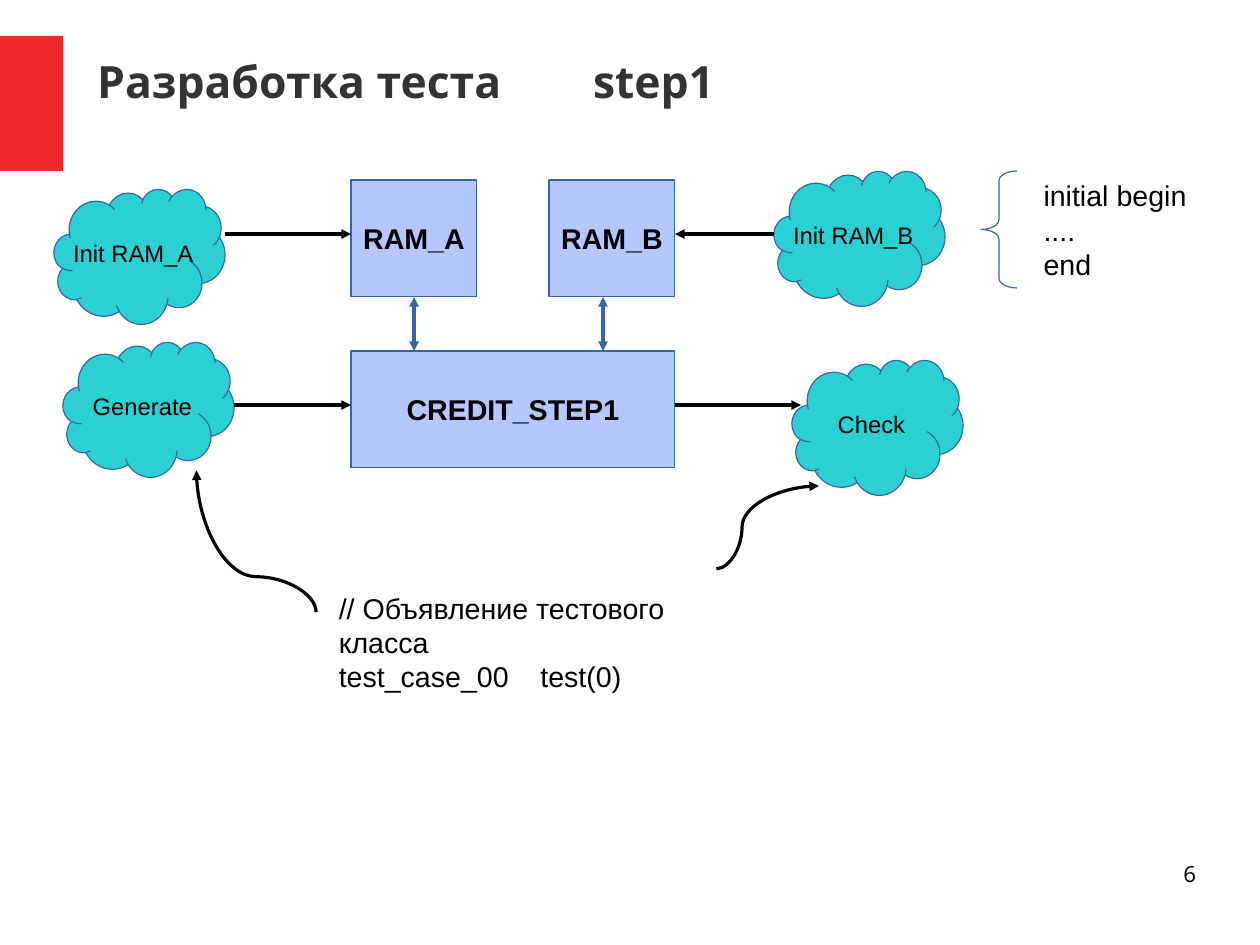
from lxml import etree
from pptx import Presentation
from pptx.dml.color import RGBColor
from pptx.enum.shapes import MSO_CONNECTOR, MSO_SHAPE
from pptx.enum.text import MSO_ANCHOR, PP_ALIGN
from pptx.oxml.ns import qn
from pptx.util import Cm, Pt

RECT, CLOUD, BRACE = MSO_SHAPE.RECTANGLE, MSO_SHAPE.CLOUD, MSO_SHAPE.LEFT_BRACE
STRAIGHT, CURVE = MSO_CONNECTOR.STRAIGHT, MSO_CONNECTOR.CURVE
LEFT, CENTER, RIGHT = PP_ALIGN.LEFT, PP_ALIGN.CENTER, PP_ALIGN.RIGHT
TOP, MIDDLE = MSO_ANCHOR.TOP, MSO_ANCHOR.MIDDLE

# All places are columns and rows of a 2 mm grid
UNIT = Cm(0.2)
COLS, ROWS = 140, 105
COLORS = {"accent": "EF2929", "box": "B4C8FF", "cloud": "2BD0D2",
          "outline": "3465A4", "title": "333333", "ink": "000000"}

TITLE = "Разработка теста\tstep1"
TITLE_FONT = {"name": "Open Sans", "size": Pt(28), "bold": True}
BOX_FONT = {"name": "Arial", "size": Pt(18), "bold": True}
CLOUD_FONT = {"name": "Arial", "size": Pt(15)}
CODE_FONT = {"name": "Arial", "size": Pt(18)}
NUMBER_FONT = {"name": "Open Sans", "size": Pt(14)}

BOX_ROW, BOX_H, BOX_W = 20, 13, 14
BOXES = [("RAM_A", 39, BOX_ROW, BOX_W), ("RAM_B", 61, BOX_ROW, BOX_W),
         ("CREDIT_STEP1", 39, 39, 36)]
CLOUD_W, CLOUD_H = 19, 15
CLOUDS = [("Init RAM_A", 6, 21), ("Init RAM_B", 86, 19),
          ("Generate", 7, 38), ("Check", 88, 40)]

INIT_ROW, TEST_ROW = 26, 45
FLOWS = [(26, TEST_ROW, 39, TEST_ROW), (25, INIT_ROW, 39, INIT_ROW),
         (86, INIT_ROW, 75, INIT_ROW), (75, TEST_ROW, 89, TEST_ROW)]
BUS_COLS = [46, 67]
# begin and end, rotation in degrees, bend as a share of the length
CURVES = [((20.6, 66.8, 36.35, 53.5), 270, 0.25),
          ((79.6, 63.2, 91, 54), 0, 0.25)]

# lines, place, alignment, inset in grid units, tab stop, font
TEXTS = [
    (["initial begin", "....", "end"], (114.7, 19.2, 18.4, 12), LEFT, None, None, CODE_FONT),
    (["// Объявление тестового класса", "test_case_00\ttest(0)"],
     (36.4, 65, 49.5, 8.4), LEFT, None, 22.4, CODE_FONT),
    (["6"], (100.3, 95.6, 32.6, 7.2), RIGHT, 0, None, NUMBER_FONT),
]


def grid(*values):
    """Turn grid units into slide lengths."""
    return [round(v * UNIT) for v in values]


def rgb(name):
    """Look up a named colour."""
    return RGBColor.from_string(COLORS[name])


def write(tf, lines, font, color="ink", align=LEFT, anchor=TOP, inset=None, tab=None, wrap=False):
    """Fill a text frame with one paragraph per line."""
    tf.word_wrap, tf.vertical_anchor = wrap, anchor
    if inset is not None:
        for side in ("left", "top", "right", "bottom"):
            setattr(tf, "margin_" + side, inset)
    for i, line in enumerate(lines):
        p = tf.add_paragraph() if i else tf.paragraphs[0]
        p.alignment = align
        if tab and "\t" in line:
            stops = etree.SubElement(p._p.get_or_add_pPr(), qn("a:tabLst"))
            etree.SubElement(stops, qn("a:tab"), pos=str(grid(tab)[0]), algn="l")
        r = p.add_run()
        r.text = line
        for key, value in font.items():
            setattr(r.font, key, value)
        r.font.color.rgb = rgb(color)


def add_shape(kind, place, fill=None, outline="outline"):
    """Add a preset shape with a hairline outline."""
    s = shapes.add_shape(kind, *grid(*place))
    s.shadow.inherit = False
    if fill:
        s.fill.solid()
        s.fill.fore_color.rgb = rgb(fill)
    else:
        s.fill.background()
    if outline:
        s.line.color.rgb = rgb(outline)
        s.line.width = Pt(0)
    else:
        s.line.fill.background()
    return s


def add_arrow(kind, ends, color="ink", both=False, turn=0, bend=None):
    """Add a hairline connector with one or two arrowheads."""
    c = shapes.add_connector(kind, *grid(*ends))
    c.line.color.rgb = rgb(color)
    c.line.width = Pt(0)
    sp_pr = c._element.spPr
    line = sp_pr.find(qn("a:ln"))
    for tag in ("a:headEnd", "a:tailEnd") if both else ("a:tailEnd",):
        etree.SubElement(line, qn(tag), type="triangle")
    etree.SubElement(sp_pr, qn("a:effectLst"))
    if turn:
        sp_pr.find(qn("a:xfrm")).set("rot", str(turn * 60000))
    if bend:
        guides = sp_pr.find(qn("a:prstGeom")).find(qn("a:avLst"))
        etree.SubElement(guides, qn("a:gd"), name="adj1", fmla=f"val {round(bend * 100000)}")


prs = Presentation()
prs.slide_width, prs.slide_height = grid(COLS, ROWS)
slide = prs.slides.add_slide(prs.slide_layouts[5])
shapes = slide.shapes

add_shape(RECT, (0, 4, 7, 15), "accent", None)
title = shapes.title
title.left, title.top, title.width, title.height = grid(10.8, 5, 123, 8)
write(title.text_frame, [TITLE], TITLE_FONT, "title", LEFT, MIDDLE, 0, 55.1, True)

for name, col, row, width in BOXES:
    box = add_shape(RECT, (col, row, width, BOX_H), "box")
    write(box.text_frame, [name], BOX_FONT, align=CENTER, anchor=MIDDLE)
for name, col, row in CLOUDS:
    cloud = add_shape(CLOUD, (col, row, CLOUD_W, CLOUD_H), "cloud")
    write(cloud.text_frame, [name], CLOUD_FONT, align=CENTER, anchor=MIDDLE)

for ends in FLOWS:
    add_arrow(STRAIGHT, ends)
for col in BUS_COLS:
    add_arrow(STRAIGHT, (col, BOX_ROW + BOX_H, col, 39), "outline", both=True)
for ends, turn, bend in CURVES:
    add_arrow(CURVE, ends, turn=turn, bend=bend)

brace = add_shape(BRACE, (109, 19, 4, 13))
brace.adjustments[0] = 0.27
for lines, place, align, inset, tab, font in TEXTS:
    label = shapes.add_textbox(*grid(*place))
    write(label.text_frame, lines, font, align=align, inset=inset, tab=tab, wrap=align == RIGHT)

prs.save("out.pptx")
